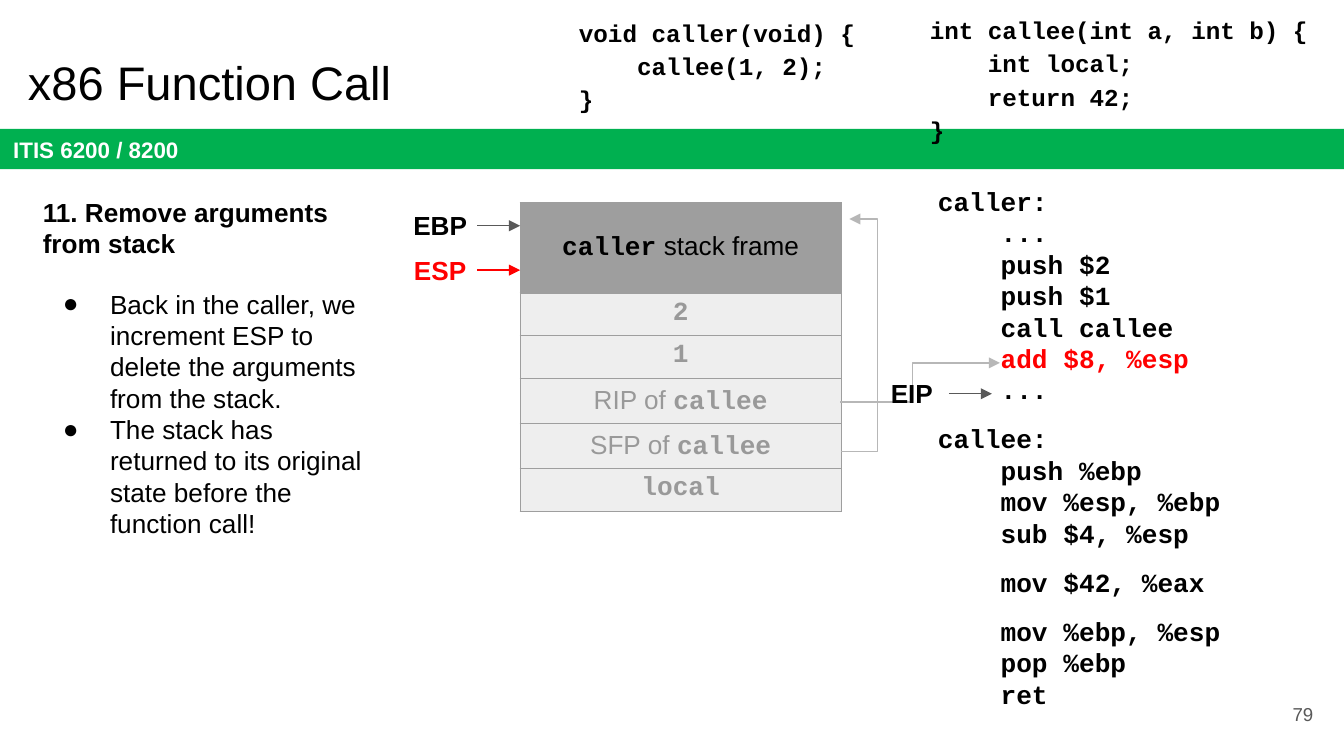
from lxml import etree
from pptx import Presentation
from pptx.dml.color import RGBColor
from pptx.enum.shapes import MSO_CONNECTOR, MSO_SHAPE
from pptx.enum.text import MSO_ANCHOR, PP_ALIGN
from pptx.oxml.ns import qn
from pptx.util import Inches, Pt

LEFT, CENTER, RIGHT = PP_ALIGN.LEFT, PP_ALIGN.CENTER, PP_ALIGN.RIGHT
TOP, MIDDLE = MSO_ANCHOR.TOP, MSO_ANCHOR.MIDDLE
STRAIGHT, RECTANGLE = MSO_CONNECTOR.STRAIGHT, MSO_SHAPE.RECTANGLE
SANS, MONO = "Arial", "Courier New"
COLORS = {"black": "000000", "white": "FFFFFF", "green": "00B050", "red": "FF0000",
          "frame": "9E9E9E", "freed": "EEEEEE", "muted": "999999",
          "link": "B7B7B7", "dark": "595959"}

CALLER_SOURCE = ["void caller(void) {", "    callee(1, 2);", "}"]
CALLEE_SOURCE = ["int callee(int a, int b) {", "    int local;", "    return 42;", "}"]
ASSEMBLY_GROUPS = [
    ["caller:", "    ...", "    push $2", "    push $1", "    call callee",
     "    add $8, %esp", "    ..."],
    ["callee:", "    push %ebp", "    mov %esp, %ebp", "    sub $4, %esp"],
    ["    mov $42, %eax"],
    ["    mov %ebp, %esp", "    pop %ebp", "    ret"],
]
CURRENT_INSTRUCTION = "    add $8, %esp"
STEP = "11. Remove arguments from stack"
NOTES = ["Back in the caller, we increment ESP to delete the arguments from the stack.",
         "The stack has returned to its original state before the function call!"]
STACK = [
    (0.67, 0.05, [("caller", MONO), (" stack frame", SANS)]),
    (0.32, 0.04, [("2", MONO)]),
    (0.32, 0.04, [("1", MONO)]),
    (0.33, 0.05, [("RIP of ", SANS), ("callee", MONO)]),
    (0.33, 0.05, [("SFP of ", SANS), ("callee", MONO)]),
    (0.32, 0.04, [("local", MONO)]),
]
REGISTERS = [("EBP", 3, 1.51, "black", "dark"), ("ESP", 3, 1.84, "red", "red"),
             ("EIP", 6.51, 2.76, "black", "dark")]
LINKS = [
    [(6.26, 3.36), (6.53, 3.36), (6.53, 1.63), (6.32, 1.63)],
    [(6.25, 2.99), (6.79, 2.99), (6.79, 2.7), (7.44, 2.7)],
]


def rgb(name):
    return RGBColor.from_string(COLORS[name])


def style(span, size, font=SANS, color="black", bold=False):
    span.font.size = Pt(size)
    span.font.name = font
    span.font.bold = bold
    span.font.color.rgb = rgb(color)


def set_frame(frame, anchor=TOP, inset=0.1):
    frame.word_wrap = True
    frame.vertical_anchor = anchor
    frame.margin_left = frame.margin_right = Inches(inset)
    frame.margin_top = frame.margin_bottom = Inches(inset)


def add_text(page, area, lines, size, font=SANS, color="black", bold=False,
             align=LEFT, anchor=TOP, inset=0.1, spacing=1.0):
    box = page.shapes.add_textbox(*map(Inches, area))
    frame = box.text_frame
    set_frame(frame, anchor, inset)
    frame.text = "\n".join(lines)
    for para in frame.paragraphs:
        para.alignment = align
        para.line_spacing = spacing
        for span in para.runs:
            style(span, size, font, color, bold)
    return frame.paragraphs


def add_bullet(para):
    props = para._p.get_or_add_pPr()
    props.set("marL", str(Inches(0.5)))
    props.set("indent", str(Inches(-0.35)))
    tint = etree.SubElement(props, qn("a:buClr"))
    etree.SubElement(tint, qn("a:srgbClr")).set("val", COLORS["black"])
    etree.SubElement(props, qn("a:buSzPts")).set("val", "1400")
    etree.SubElement(props, qn("a:buFont")).set("typeface", SANS)
    etree.SubElement(props, qn("a:buChar")).set("char", "●")
    para.font.size = Pt(14)


def set_line(shape, color):
    shape.line.color.rgb = rgb(color)
    shape.line.width = Pt(0.75)
    etree.SubElement(shape.line._get_or_add_ln(), qn("a:tailEnd")).set("type", "triangle")


def add_arrow(page, left, top, length, color):
    arrow = page.shapes.add_connector(STRAIGHT, Inches(left), Inches(top),
                                      Inches(left + length), Inches(top))
    set_line(arrow, color)
    etree.SubElement(arrow._element.spPr, qn("a:effectLst"))


def add_link(page, points):
    corners = [(Inches(x), Inches(y)) for x, y in points]
    builder = page.shapes.build_freeform(*corners[0])
    builder.add_line_segments(corners[1:], close=False)
    link = builder.convert_to_shape()
    link.shadow.inherit = False
    link.fill.background()
    set_line(link, "link")


def set_borders(cell):
    props = cell._tc.get_or_add_tcPr()
    for index, side in enumerate(("lnL", "lnR", "lnT", "lnB")):
        border = etree.Element(qn("a:" + side), w=str(Pt(0.75)))
        fill = etree.SubElement(border, qn("a:solidFill"))
        etree.SubElement(fill, qn("a:srgbClr")).set("val", COLORS["frame"])
        props.insert(index, border)


def add_stack(page):
    height = sum(row_height for row_height, _, _ in STACK)
    table = page.shapes.add_table(len(STACK), 1, Inches(3.87), Inches(1.51),
                                  Inches(2.39), Inches(height)).table
    for index, (row_height, inset, parts) in enumerate(STACK):
        live = index == 0
        table.rows[index].height = Inches(row_height)
        cell = table.cell(index, 0)
        cell.fill.solid()
        cell.fill.fore_color.rgb = rgb("frame" if live else "freed")
        cell.vertical_anchor = MIDDLE if live else TOP
        cell.margin_left = cell.margin_right = Inches(0.05)
        cell.margin_top = cell.margin_bottom = Inches(inset)
        set_borders(cell)
        para = cell.text_frame.paragraphs[0]
        para.alignment = CENTER
        for text, font in parts:
            span = para.add_run()
            span.text = text
            style(span, 14, font, "black" if live else "muted", font == MONO)


def add_banner(page):
    banner = page.shapes.add_shape(RECTANGLE, 0, Inches(0.96), Inches(10), Inches(0.3))
    banner.shadow.inherit = False
    banner.fill.solid()
    banner.fill.fore_color.rgb = rgb("green")
    banner.line.fill.background()
    set_frame(banner.text_frame, MIDDLE)
    para = banner.text_frame.paragraphs[0]
    para.text = "ITIS 6200 / 8200"
    para.alignment = LEFT
    style(para.runs[0], 12, color="white", bold=True)


def add_assembly(page):
    lines = [line for group in ASSEMBLY_GROUPS for line in group]
    paras = add_text(page, (6.88, 1.28, 2.83, 4.25), lines, 14, MONO, bold=True)
    group_starts = [group[0] for group in ASSEMBLY_GROUPS[1:]]
    for para in paras:
        if para.text in group_starts:
            para.space_before = Pt(9.5)
        if para.text == CURRENT_INSTRUCTION:
            para.runs[0].font.color.rgb = rgb("red")


def add_notes(page):
    paras = add_text(page, (0.22, 1.36, 2.68, 4.12), [STEP] + NOTES, 14)
    paras[0].runs[0].font.bold = True
    paras[1].space_before = Pt(15.5)
    for para in paras[1:]:
        add_bullet(para)


def main():
    deck = Presentation()
    deck.slide_width, deck.slide_height = Inches(10), Inches(10 * 9 / 16)
    page = deck.slides.add_slide(deck.slide_layouts[6])
    add_banner(page)
    add_assembly(page)
    add_text(page, (0.11, 0.3, 9.32, 0.63), ["x86 Function Call"], 25.2)
    add_text(page, (9.27, 5.1, 0.6, 0.43), ["79"], 10, color="dark", align=RIGHT, anchor=MIDDLE)
    add_stack(page)
    add_notes(page)
    for points in LINKS:
        add_link(page, points)
    for name, left, top, color, arrow_color in REGISTERS:
        add_text(page, (left, top, 0.55, 0.34), [name], 14, color=color, bold=True,
                 align=CENTER, inset=0.05)
        add_arrow(page, left + 0.55, top + 0.17, 0.32, arrow_color)
    for area, lines in [((4.21, 0, 2.5, 0.94), CALLER_SOURCE),
                        ((6.82, -0.02, 3.05, 1.18), CALLEE_SOURCE)]:
        add_text(page, area, lines, 13, MONO, bold=True, spacing=1.15)
    deck.save("out.pptx")


if __name__ == "__main__":
    main()
